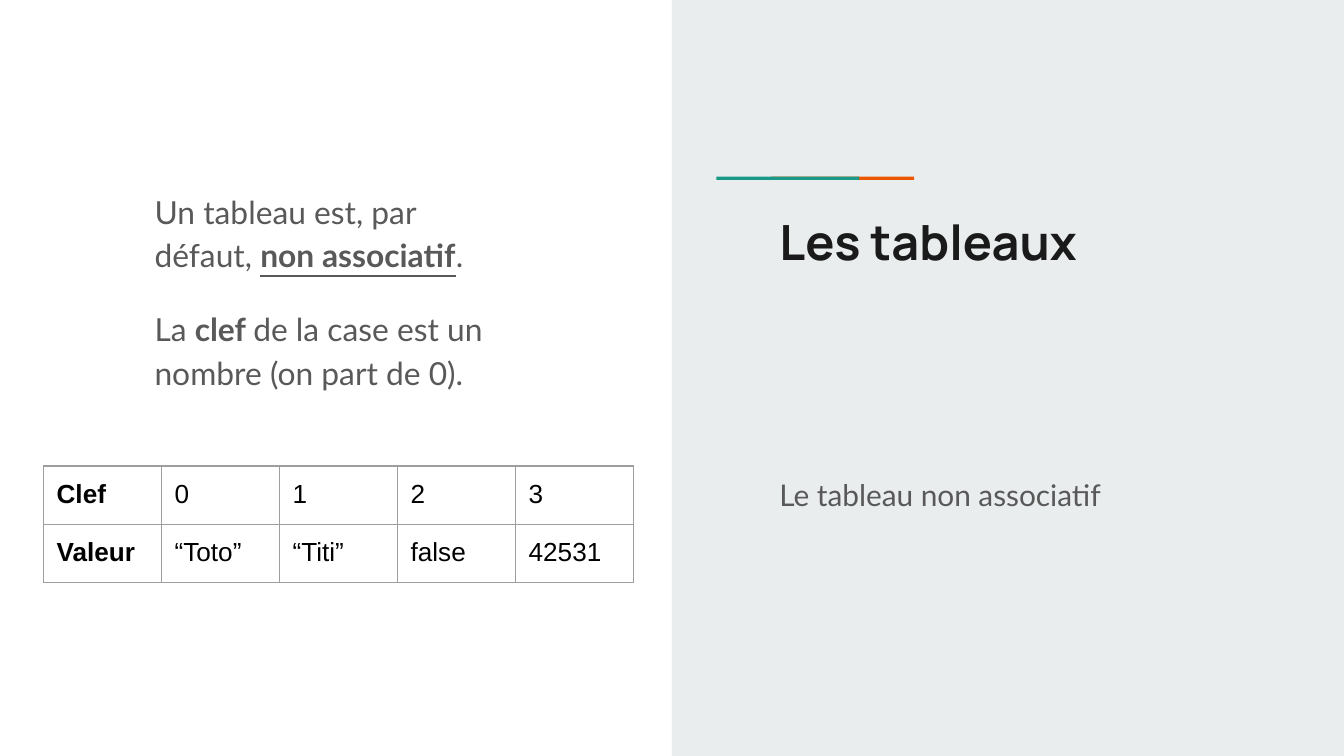
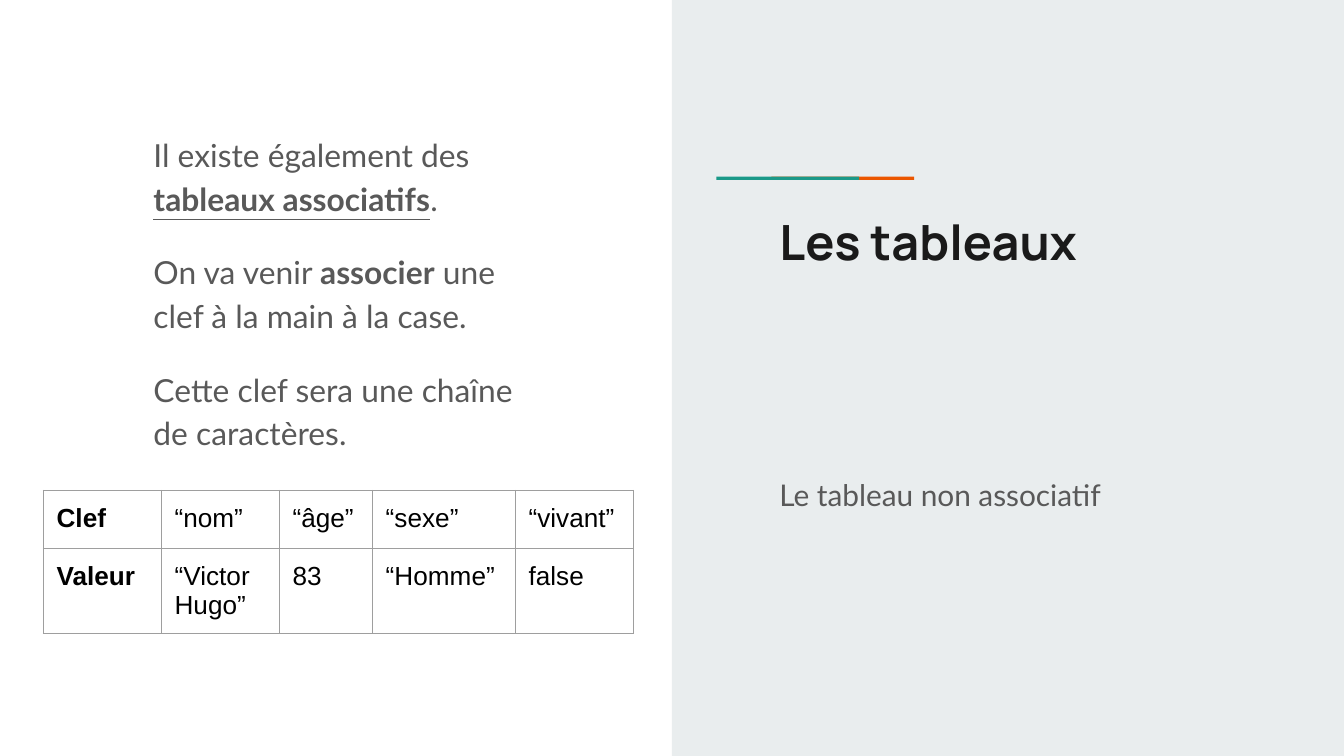
"""Build two slides on plain and keyed arrays."""
from dataclasses import dataclass
from typing import NamedTuple

from lxml.etree import SubElement
from pptx import Presentation
from pptx.dml.color import RGBColor
from pptx.enum.shapes import MSO_SHAPE
from pptx.enum.text import MSO_ANCHOR, MSO_AUTO_SIZE, PP_ALIGN
from pptx.oxml import parse_xml
from pptx.oxml.ns import nsdecls, qn
from pptx.util import Cm, Pt


class Face(NamedTuple):
    name: str
    size: int
    tint: str
    bold: bool = False


class Box(NamedTuple):
    left: float
    top: float
    width: float
    height: float


class Bit(NamedTuple):
    text: str
    bold: bool = False
    under: bool = False


class Band(NamedTuple):
    box: Box
    tint: str


@dataclass(frozen=True)
class Theme:
    title: Face = Face("Manrope", 26, "1A1A1A", True)
    sub: Face = Face("Lato", 16, "595959")
    body: Face = Face("Lato", 17, "595959")
    cell: Face = Face("Arial", 14, "000000")
    panel: str = "E9EDEE"
    teal: str = "1A9988"
    orange: str = "EB5600"
    rule: str = "9E9E9E"
    edge: float = 0.75
    gap: int = 16
    lead: float = 1.15
    inset: float = 0.25


@dataclass(frozen=True)
class Page:
    body: Box
    text: list[list[Bit]]
    top: float
    cols: list[float]
    rows: list[list[str]]


THEME = Theme()
WIDTH, HEIGHT = 25.4, 14.29
HALF = WIDTH / 2
TITLE = Box(14.48, 3.76, 9.17, 4.7)
SUB = Box(14.48, 8.76, 9.17, 2.11)
TABLE_LEFT, ROW, COL = 0.82, 1.1, 2.23

BANDS = [
    Band(Box(HALF, 0, HALF, HEIGHT), THEME.panel),
    Band(Box(14.58, 3.34, 2.7, 0.06), THEME.orange),
    Band(Box(13.54, 3.34, 2.7, 0.06), THEME.teal),
]

PAGES = [
    Page(
        Box(2.67, 3.28, 7.4, 4.27),
        [
            [Bit("Un tableau est, par défaut, "),
             Bit("non associatif", True, True), Bit(".")],
            [Bit("La "), Bit("clef ", True),
             Bit("de la case est un nombre (on part de 0).")],
        ],
        8.81,
        [COL] * 5,
        [["Clef", "0", "1", "2", "3"],
         ["Valeur", "“Toto”", "“Titi”", "false", "42531"]],
    ),
    Page(
        Box(2.65, 2.21, 7.4, 6.4),
        [
            [Bit("Il existe également des "),
             Bit("tableaux associatifs", True, True), Bit(".")],
            [Bit("On va venir "), Bit("associer", True),
             Bit(" une clef à la main à la case.")],
            [Bit("Cette clef sera une chaîne de caractères.")],
        ],
        9.27,
        [COL, COL, 1.76, 2.7, COL],
        [["Clef", "“nom”", "“âge”", "“sexe”", "“vivant”"],
         ["Valeur", "“Victor Hugo”", "83", "“Homme”", "false"]],
    ),
]


def style(run, face: Face, bold: bool = False, under: bool = False) -> None:
    """Give a run its face, weight and underline."""
    font = run.font
    font.name, font.size = face.name, Pt(face.size)
    font.color.rgb = RGBColor.from_string(face.tint)
    font.bold, font.underline = face.bold or bold, under


def place(shape, box: Box) -> None:
    """Move a shape to its box."""
    shape.left, shape.top, shape.width, shape.height = map(Cm, box)


def pad(item) -> None:
    """Set equal insets on a text frame or a cell."""
    item.margin_left = item.margin_right = Cm(THEME.inset)
    item.margin_top = item.margin_bottom = Cm(THEME.inset)


def fill(shape, box: Box, text: list[list[Bit]], face: Face,
         lead: float = 1.0) -> None:
    """Place a placeholder and write its paragraphs."""
    place(shape, box)
    frame = shape.text_frame
    frame.word_wrap, frame.auto_size = True, MSO_AUTO_SIZE.NONE
    frame.vertical_anchor = MSO_ANCHOR.TOP
    pad(frame)
    for num, bits in enumerate(text):
        para = frame.add_paragraph() if num else frame.paragraphs[0]
        para.alignment, para.line_spacing = PP_ALIGN.LEFT, lead
        para.space_before = Pt(THEME.gap if num else 0)
        para.space_after = Pt(0)
        props = para._p.get_or_add_pPr()
        props.set("marL", "0")
        props.set("indent", "0")
        SubElement(props, qn("a:buNone"))
        for bit in bits:
            run = para.add_run()
            run.text = bit.text
            style(run, face, bit.bold, bit.under)


def frame_cell(cell) -> None:
    """Draw the four borders of a cell."""
    props = cell._tc.get_or_add_tcPr()
    for num, side in enumerate(("lnL", "lnR", "lnT", "lnB")):
        props.insert(num, parse_xml(
            f'<a:{side} {nsdecls("a")} w="{Pt(THEME.edge)}"><a:solidFill>'
            f'<a:srgbClr val="{THEME.rule}"/></a:solidFill></a:{side}>'))


def add_grid(slide, page: Page) -> None:
    """Add the table of keys and values."""
    count = len(page.rows)
    box = Box(TABLE_LEFT, page.top, sum(page.cols), ROW * count)
    table = slide.shapes.add_table(
        count, len(page.cols), *map(Cm, box)).table
    table.first_row = table.horz_banding = False
    for col, width in zip(table.columns, page.cols):
        col.width = Cm(width)
    for row, texts in zip(table.rows, page.rows):
        row.height = Cm(ROW)
        for num, (cell, text) in enumerate(zip(row.cells, texts)):
            cell.text_frame.text = text
            pad(cell)
            cell.fill.background()
            frame_cell(cell)
            style(cell.text_frame.paragraphs[0].runs[0], THEME.cell, num == 0)


def add_bands(slide, layout) -> None:
    """Draw the shared bands and move them behind all in the layout."""
    tree = layout.placeholders[0].element.getparent()
    for num, band in enumerate(BANDS):
        shape = slide.shapes.add_shape(
            MSO_SHAPE.RECTANGLE, *map(Cm, band.box))
        shape.shadow.inherit = False
        shape.fill.solid()
        shape.fill.fore_color.rgb = RGBColor.from_string(band.tint)
        shape.line.fill.background()
        shape.element.nvSpPr.cNvPr.set("id", str(20 + num))
        tree.insert(2 + num, shape.element)


def add_page(deck, layout, page: Page):
    """Add one slide with its texts and table."""
    slide = deck.slides.add_slide(layout)
    fill(slide.shapes.title, TITLE, [[Bit("Les tableaux")]], THEME.title)
    fill(slide.placeholders[2], SUB, [[Bit("Le tableau non associatif")]],
         THEME.sub)
    fill(slide.placeholders[1], page.body, page.text, THEME.body, THEME.lead)
    add_grid(slide, page)
    return slide


def main() -> None:
    """Build and save the deck."""
    deck = Presentation()
    deck.slide_width, deck.slide_height = Cm(WIDTH), Cm(HEIGHT)
    layout = deck.slide_layouts.get_by_name("Two Content")
    slides = [add_page(deck, layout, page) for page in PAGES]
    add_bands(slides[0], layout)
    deck.save("out.pptx")


if __name__ == "__main__":
    main()
